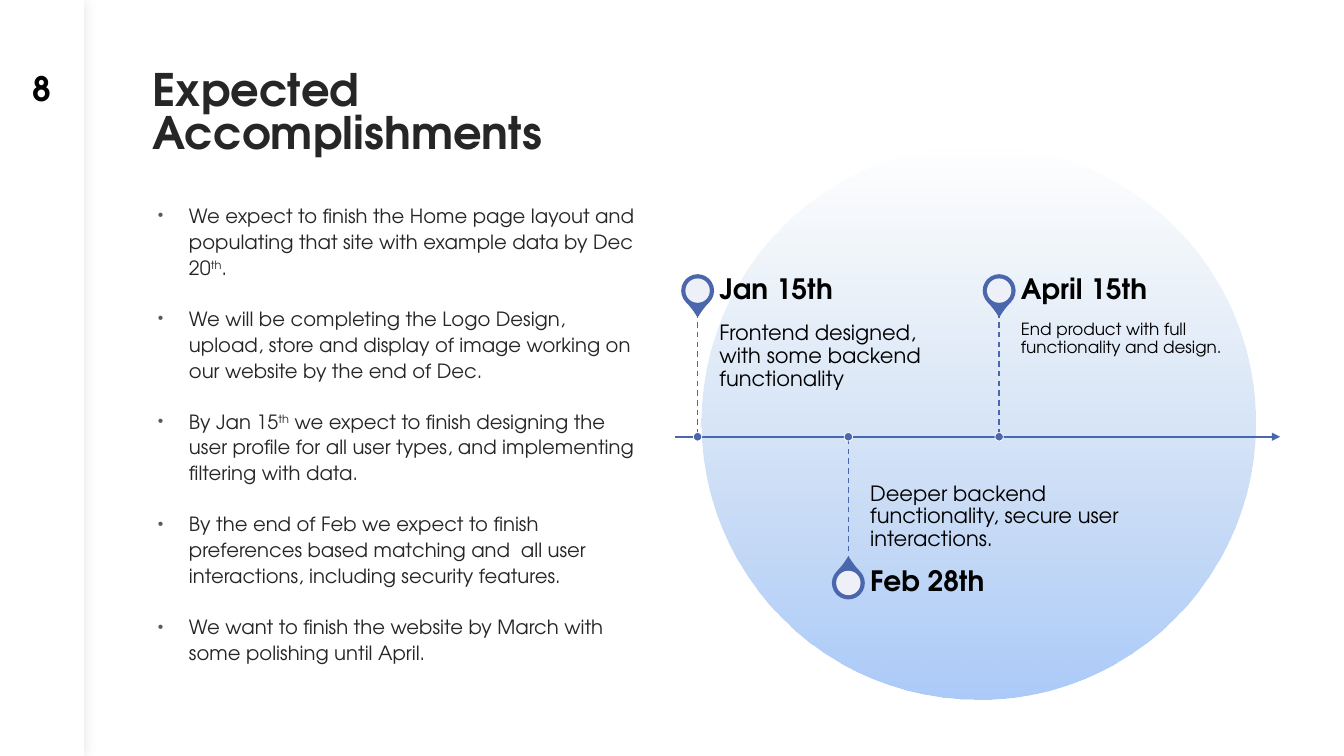
import dataclasses
import typing

import lxml.etree
import pptx
import pptx.dml.color
import pptx.enum.dml
import pptx.enum.shapes
import pptx.enum.text
import pptx.oxml.ns
import pptx.util

SHAPE = pptx.enum.shapes.MSO_SHAPE
ANCHOR = pptx.enum.text.MSO_ANCHOR
ALIGN = pptx.enum.text.PP_ALIGN
DASH = pptx.enum.dml.MSO_LINE.DASH
qn = pptx.oxml.ns.qn

SLIDE_WIDTH = pptx.util.Inches(13.333)
SLIDE_HEIGHT = pptx.util.Inches(7.5)
COLUMNS, ROWS = 160, 90
FONT = "TeX Gyre Adventor"
COLORS = {
    "white": "FFFFFF", "black": "000000", "text": "262626", "bullet": "595959",
    "accent": "4A66AC", "disc_top": "B4CCE7", "disc_bottom": "ACCBF9",
}

AXIS_START, AXIS_END, AXIS_ROW = 80.4, 152.4, 52
FIRST_PIN, PIN_STEP = 83.05, 17.95
STEM, PIN_REACH = 14.8, 17.4
PIN_SIZE, HOLE_SIZE, DOT_SIZE = 3.75, 2.9, 1
LABEL_GAP, LABEL_WIDTH, LABEL_HEIGHT = 2.6, 30, 5.16

GOALS = [
    "We expect to finish the Home page layout and populating that site with "
    "example data by Dec 20^th^.",
    "We will be completing the Logo Design, upload, store and display of image "
    "working on our website by the end of Dec.",
    "By Jan 15^th^ we expect to finish designing the user profile for all user "
    "types, and implementing filtering with data.",
    "By the end of Feb we expect to finish preferences based matching and  all "
    "user interactions, including security features.",
    "We want to finish the website by March with some polishing until April.",
]


@dataclasses.dataclass(frozen=True)
class Area:
    left: float
    top: float
    width: float
    height: float

    def emu(self) -> tuple:
        return (col(self.left), row(self.top), col(self.width), row(self.height))


@dataclasses.dataclass(frozen=True)
class Milestone:
    date: str
    detail: str
    size: float
    insets: tuple
    below: bool = False


MILESTONES = [
    Milestone("Jan 15th", "Frontend designed, with some backend functionality",
              15, (0, 0.1, 0.1, 0.16)),
    Milestone("Feb 28th", "Deeper backend functionality, secure user interactions.",
              15, (0, 0.16, 0, 0.1), below=True),
    Milestone("April 15th", "End product with full functionality and design.",
              12, (0, 0.08, 0.08, 0.12)),
]


def col(count: float) -> int:
    return round(SLIDE_WIDTH * count / COLUMNS)


def row(count: float) -> int:
    return round(SLIDE_HEIGHT * count / ROWS)


def rgb(name: str) -> pptx.dml.color.RGBColor:
    return pptx.dml.color.RGBColor.from_string(COLORS[name])


def child(parent: typing.Any, tag: str, **attributes: str) -> typing.Any:
    return lxml.etree.SubElement(parent, qn(tag), attributes)


def centred(column: float, line: float, size: float) -> Area:
    return Area(column - size / 2, line - size / 2, size, size)


def add_shape(shapes: typing.Any, kind: SHAPE, area: Area, fill: str,
              line: str = "", width: float = 1, alpha: int = 100) -> typing.Any:
    shape = shapes.add_shape(kind, *area.emu())
    shape.shadow.inherit = False
    shape.fill.solid()
    shape.fill.fore_color.rgb = rgb(fill)
    if alpha < 100:
        color = shape.fill._xPr.find(".//" + qn("a:srgbClr"))
        child(color, "a:alpha", val=str(alpha * 1000))
    if line:
        shape.line.color.rgb = rgb(line)
        shape.line.width = pptx.util.Pt(width)
    else:
        shape.line.fill.background()
    return shape


def add_line(shapes: typing.Any, start: tuple, end: tuple, width: float,
             dashed: bool = False, arrow: bool = False) -> None:
    line = shapes.add_connector(
        pptx.enum.shapes.MSO_CONNECTOR.STRAIGHT,
        col(start[0]), row(start[1]), col(end[0]), row(end[1]))
    line.line.color.rgb = rgb("accent")
    line.line.width = pptx.util.Pt(width)
    if dashed:
        line.line.dash_style = DASH
    if arrow:
        child(line.line._get_or_add_ln(), "a:tailEnd", type="triangle")
    child(line._element.spPr, "a:effectLst")


def add_bullet(para: typing.Any) -> None:
    properties = para._p.get_or_add_pPr()
    properties.set("marL", str(pptx.util.Inches(0.36)))
    properties.set("indent", str(pptx.util.Inches(-0.31)))
    child(child(properties, "a:buClr"), "a:srgbClr", val=COLORS["bullet"])
    child(properties, "a:buSzPct", val="80000")
    child(properties, "a:buFont", typeface="Arial")
    child(properties, "a:buChar", char="•")


def add_text(shapes: typing.Any, area: Area, *texts: str, size: float,
             color: str = "black", bold: bool = False, spacing: float = 1,
             before: float = 0, align: ALIGN = ALIGN.LEFT, anchor: ANCHOR = ANCHOR.TOP,
             insets: tuple = (0.1, 0.05, 0.1, 0.05), bullets: bool = False) -> None:
    frame = shapes.add_textbox(*area.emu()).text_frame
    frame.word_wrap = True
    frame.vertical_anchor = anchor
    (frame.margin_left, frame.margin_top, frame.margin_right,
     frame.margin_bottom) = map(pptx.util.Inches, insets)
    for index, text in enumerate(texts):
        para = frame.add_paragraph() if index else frame.paragraphs[0]
        para.alignment = align
        para.line_spacing = spacing
        para.space_before = pptx.util.Pt(before)
        if bullets:
            add_bullet(para)
        for position, part in enumerate(text.split("^")):
            span = para.add_run()
            span.text = part
            span.font.name = FONT
            span.font.size = pptx.util.Pt(size)
            span.font.bold = bold
            span.font.color.rgb = rgb(color)
            if position % 2:
                span._r.get_or_add_rPr().set("baseline", "30000")


def add_disc(shapes: typing.Any) -> None:
    disc = add_shape(shapes, SHAPE.OVAL, Area(83.5, 17.3, 66, 66), "disc_bottom")
    disc.fill.gradient()
    disc.fill.gradient_angle = 270
    for stop, name, place in zip(disc.fill.gradient_stops, ("disc_top", "disc_bottom"), (0, 1)):
        stop.color.rgb = rgb(name)
        stop.position = place
    first_color = disc._element.spPr.find(".//" + qn("a:srgbClr"))
    child(first_color, "a:alpha", val="0")


def add_sidebar(shapes: typing.Any) -> None:
    sidebar = add_shape(shapes, SHAPE.RECTANGLE, Area(0, 0, 10, ROWS), "white")
    effects = sidebar._element.spPr.find(qn("a:effectLst"))
    shadow = child(effects, "a:outerShdw", blurRad=str(pptx.util.Pt(10)), dist="0", dir="0")
    child(child(shadow, "a:srgbClr", val=COLORS["black"]), "a:alpha", val="10000")


def add_milestone(shapes: typing.Any, item: Milestone, column: float) -> None:
    side = 1 if item.below else -1
    stem_end = AXIS_ROW + side * STEM
    head_row = AXIS_ROW + side * PIN_REACH
    pin = add_shape(shapes, SHAPE.TEAR, centred(column, head_row, PIN_SIZE), "accent", "accent")
    pin.adjustments[0] = 1.15
    pin.rotation = 315 if item.below else 135
    add_shape(shapes, SHAPE.OVAL, centred(column, head_row, HOLE_SIZE), "white", alpha=90)
    left = column + LABEL_GAP
    add_text(shapes, Area(left, min(AXIS_ROW, stem_end), LABEL_WIDTH, STEM), item.detail,
             size=item.size, spacing=0.9, insets=item.insets,
             anchor=ANCHOR.BOTTOM if item.below else ANCHOR.TOP)
    label_top = stem_end if item.below else stem_end - LABEL_HEIGHT
    add_text(shapes, Area(left, label_top, LABEL_WIDTH, LABEL_HEIGHT), item.date, size=20,
             bold=True, spacing=0.9, anchor=ANCHOR.MIDDLE, insets=(0, 0, 0.14, 0))
    add_line(shapes, (column, stem_end), (column, AXIS_ROW), 1, dashed=True)
    add_shape(shapes, SHAPE.OVAL, centred(column, AXIS_ROW, DOT_SIZE), "accent", "white", 0.5)


def main() -> None:
    deck = pptx.Presentation()
    deck.slide_width, deck.slide_height = SLIDE_WIDTH, SLIDE_HEIGHT
    page = deck.slides.add_slide(deck.slide_layouts[6])
    add_disc(page.shapes)
    add_sidebar(page.shapes)
    add_text(page.shapes, Area(17, 8, 64.5, 19), "Expected Accomplishments",
             size=32, color="text", bold=True, spacing=0.8)
    add_text(page.shapes, Area(0, 8, 10, 5), "8", size=24, bold=True,
             align=ALIGN.CENTER, anchor=ANCHOR.MIDDLE)
    add_text(page.shapes, Area(17, 23.4, 60.1, 58.5), *GOALS, size=14, color="text",
             spacing=1.1, before=18, bullets=True)
    timeline = page.shapes.add_group_shape().shapes
    add_line(timeline, (AXIS_START, AXIS_ROW), (AXIS_END, AXIS_ROW), 1.5, arrow=True)
    for index, item in enumerate(MILESTONES):
        add_milestone(timeline, item, FIRST_PIN + index * PIN_STEP)
    deck.save("out.pptx")


if __name__ == "__main__":
    main()
